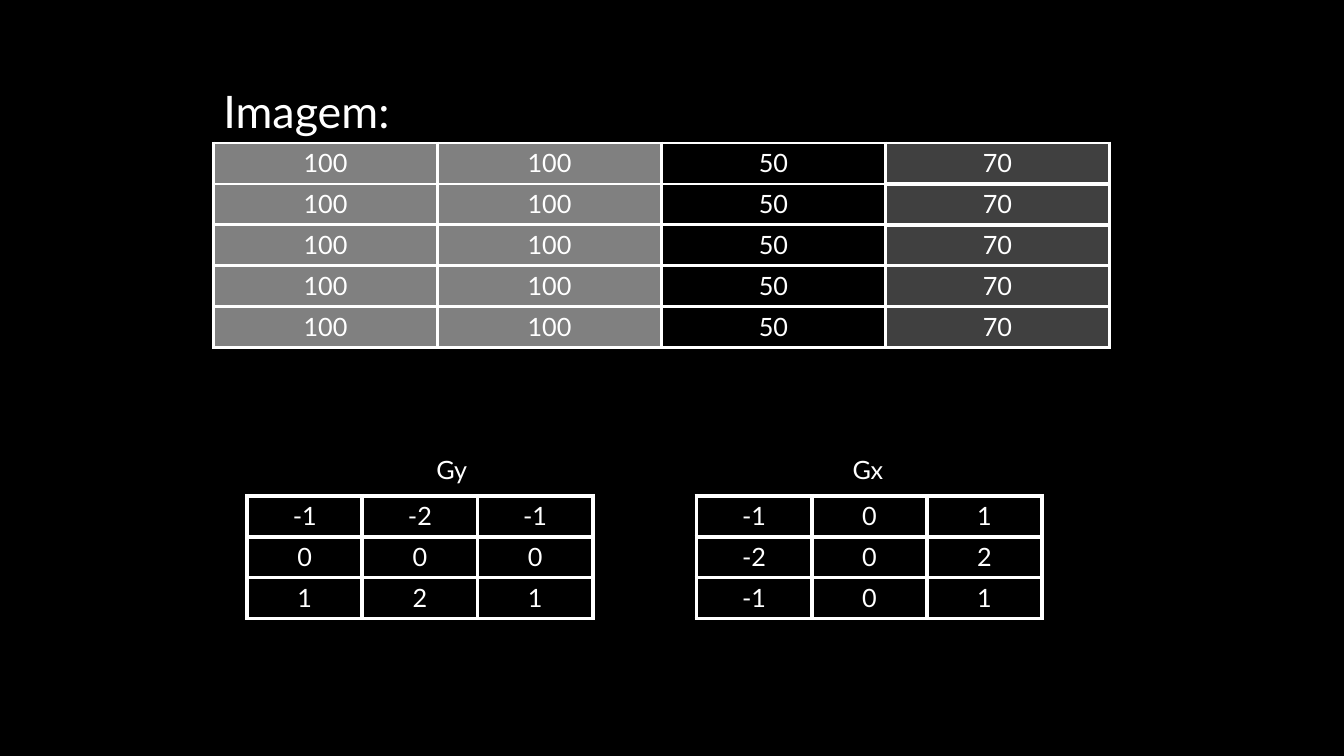
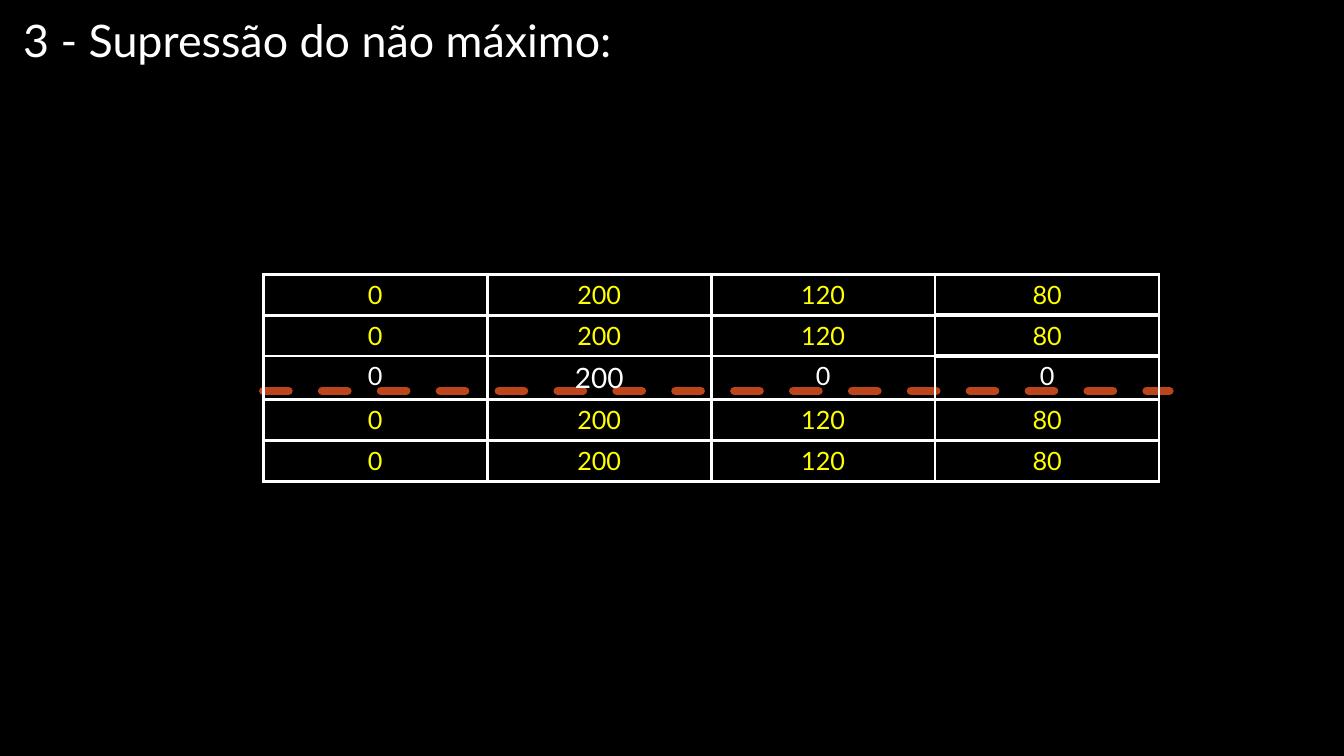
"""Build two slides on edge detection with Sobel kernels."""
from dataclasses import dataclass

from lxml import etree
from pptx import Presentation
from pptx.dml.color import RGBColor
from pptx.enum import dml, shapes, text
from pptx.oxml import ns
from pptx.util import Pt


@dataclass(frozen=True)
class Theme:
    """Colours, font, type sizes and line widths of the slides."""
    font: str = "Lato"
    background: str = "000000"
    ink: str = "FFFFFF"
    edge: str = "FFFF00"
    light: str = "808080"
    dark: str = "404040"
    scan: str = "BC451B"
    title: float = 32
    peak: float = 20
    body: float = 18
    thin: float = 2.25
    heavy: float = 3
    scan_width: float = 6


THEME = Theme()
ROW_HEIGHT = 29.2
PEAK_ROW_HEIGHT = 31.2
PIXEL_WIDTH = 160
KERNEL_WIDTH = 82.3
TITLE_HEIGHT = 46
CAPTION_HEIGHT = 29
CAPTION_RISE = 33.1
HEAVY_RULES = {(1, 3), (2, 3)}


def write(frame, words, size=THEME.body, color=THEME.ink, align=None):
    """Write one formatted paragraph into a text frame."""
    line = frame.paragraphs[0]
    line.alignment = align
    run = line.add_run()
    run.text = words
    run.font.name = THEME.font
    run.font.size = Pt(size)
    run.font.color.rgb = RGBColor.from_string(color)


def add_label(slide, words, left, top, width, height, wrap=True, **style):
    """Add a text box with one line of text."""
    frame = slide.shapes.add_textbox(Pt(left), Pt(top), Pt(width), Pt(height)).text_frame
    frame.word_wrap = wrap
    frame.auto_size = text.MSO_AUTO_SIZE.SHAPE_TO_FIT_TEXT
    write(frame, words, **style)


def add_border(cell, side, width):
    """Draw one solid border of a table cell."""
    properties = cell._tc.get_or_add_tcPr()
    border = etree.SubElement(properties, ns.qn(f"a:ln{side}"), w=str(Pt(width)))
    fill = etree.SubElement(border, ns.qn("a:solidFill"))
    etree.SubElement(fill, ns.qn("a:srgbClr"), val=THEME.ink)


def add_matrix(slide, values, left, top, column_width, rule=THEME.thin, heavy=(),
               fills=None, style_of=None, heights=None):
    """Add a ruled table of centred numbers."""
    heights = heights or [ROW_HEIGHT] * len(values)
    columns = len(values[0])
    frame = slide.shapes.add_table(len(values), columns, Pt(left), Pt(top),
                                   Pt(column_width * columns), Pt(sum(heights)))
    matrix = frame.table
    matrix.first_row = matrix.horz_banding = False
    for column in matrix.columns:
        column.width = Pt(column_width)
    for r, row in enumerate(values):
        matrix.rows[r].height = Pt(heights[r])
        for c, value in enumerate(row):
            cell = matrix.cell(r, c)
            top_rule = THEME.heavy if (r, c) in heavy else rule
            bottom_rule = THEME.heavy if (r + 1, c) in heavy else rule
            for side, width in zip("LRTB", (rule, rule, top_rule, bottom_rule)):
                add_border(cell, side, width)
            if fills and fills[c]:
                cell.fill.solid()
                cell.fill.fore_color.rgb = RGBColor.from_string(fills[c])
            else:
                cell.fill.background()
            style = style_of(r, c) if style_of else {}
            write(cell.text_frame, str(value), align=text.PP_ALIGN.CENTER, **style)


def add_kernel(slide, name, values, left, top, name_offset):
    """Add a captioned 3 by 3 kernel."""
    add_matrix(slide, values, left, top, KERNEL_WIDTH, rule=THEME.heavy)
    add_label(slide, name, left + name_offset, top - CAPTION_RISE, 39, CAPTION_HEIGHT, wrap=False)


def add_scan_line(slide, left, y, width):
    """Add the dashed line through the scanned row."""
    scan = slide.shapes.add_connector(shapes.MSO_CONNECTOR.STRAIGHT,
                                      Pt(left), Pt(y), Pt(left + width), Pt(y))
    scan.line.color.rgb = RGBColor.from_string(THEME.scan)
    scan.line.width = Pt(THEME.scan_width)
    scan.line.dash_style = dml.MSO_LINE.DASH
    scan.line._get_or_add_ln().set("cap", "rnd")
    etree.SubElement(scan._element.spPr, ns.qn("a:effectLst"))


def add_source_image(slide, left, top):
    """Add the titled pixel grid."""
    add_matrix(slide, [[100, 100, 50, 70]] * 5, left, top, PIXEL_WIDTH, heavy=HEAVY_RULES,
               fills=[THEME.light, THEME.light, None, THEME.dark])
    add_label(slide, "Imagem:", left, top - TITLE_HEIGHT, 294.5, TITLE_HEIGHT, size=THEME.title)


def add_suppression(slide, left, top):
    """Add the gradient grid with its scanned row."""
    gradient = [0, 200, 120, 80]
    scanned = 2
    values = [[0, 200, 0, 0] if r == scanned else gradient for r in range(5)]
    heights = [PEAK_ROW_HEIGHT if r == scanned else ROW_HEIGHT for r in range(5)]

    def style_of(r, c):
        """Return the text format of a gradient value."""
        if r != scanned:
            return {"color": THEME.edge}
        return {"size": THEME.peak if c == 1 else THEME.body}

    add_scan_line(slide, left, top + 83.3, 647.3)
    add_matrix(slide, values, left, top, PIXEL_WIDTH, heavy=HEAVY_RULES,
               style_of=style_of, heights=heights)


def new_slide(deck):
    """Add a blank slide with the shared background."""
    slide = deck.slides.add_slide(deck.slide_layouts[6])
    slide.background.fill.solid()
    slide.background.fill.fore_color.rgb = RGBColor.from_string(THEME.background)
    return slide


def build_kernels_slide(deck):
    """Build the slide with the pixels and both kernels."""
    slide = new_slide(deck)
    add_source_image(slide, 152.5, 102.2)
    add_kernel(slide, "Gy", [[-1, -2, -1], [0, 0, 0], [1, 2, 1]], 176.5, 354.2, 128.1)
    add_kernel(slide, "Gx", [[-1, 0, 1], [-2, 0, 2], [-1, 0, 1]], 497.5, 354.2, 104.4)


def build_suppression_slide(deck):
    """Build the slide on non-maximum suppression."""
    slide = new_slide(deck)
    add_label(slide, "3 - Supressão do não máximo:", 9.4, 5.8, 442, TITLE_HEIGHT,
              size=THEME.title)
    add_suppression(slide, 188, 195.9)


def main():
    """Build and save the presentation."""
    deck = Presentation()
    deck.slide_width, deck.slide_height = Pt(960), Pt(540)
    build_kernels_slide(deck)
    build_suppression_slide(deck)
    deck.save("out.pptx")


if __name__ == "__main__":
    main()
